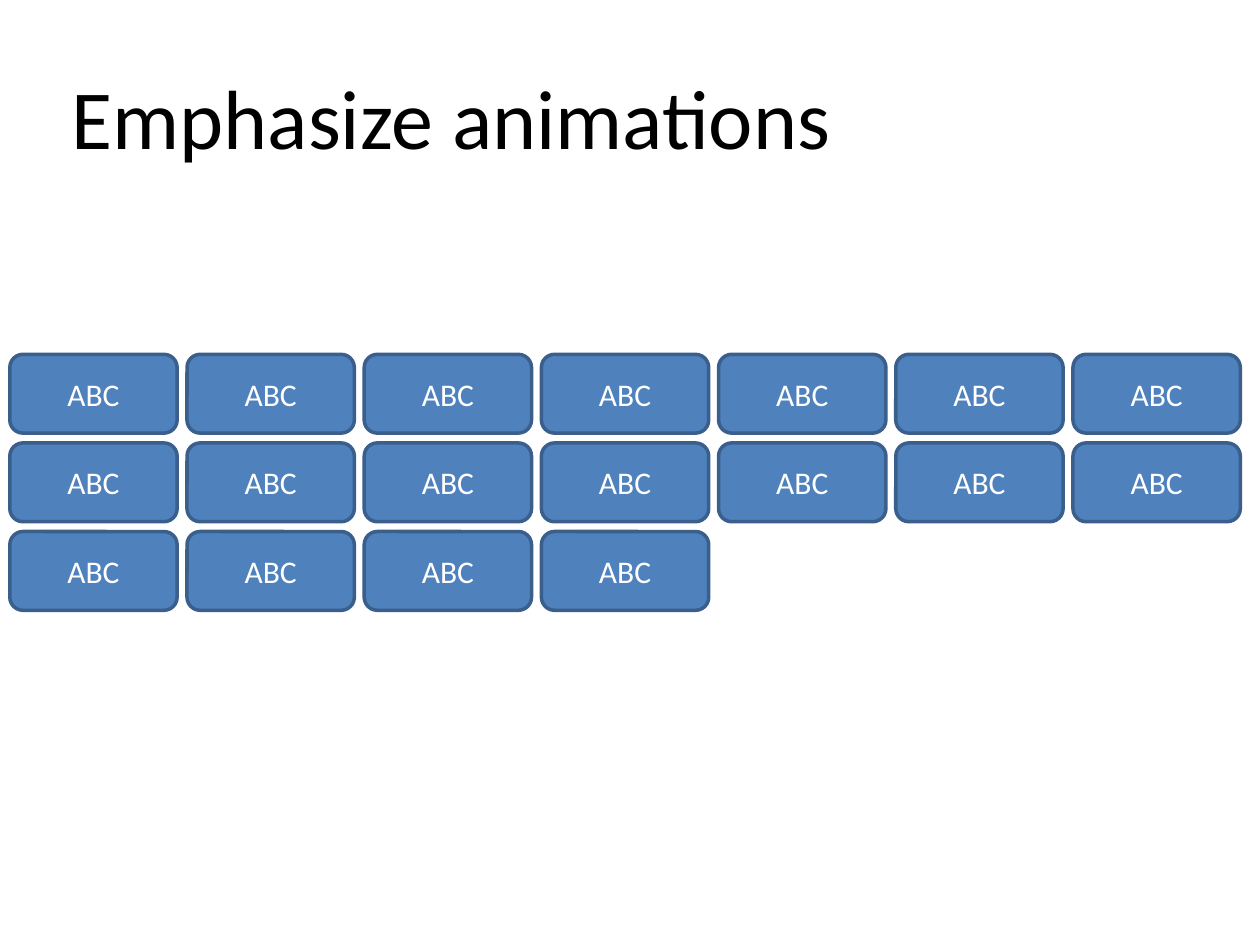
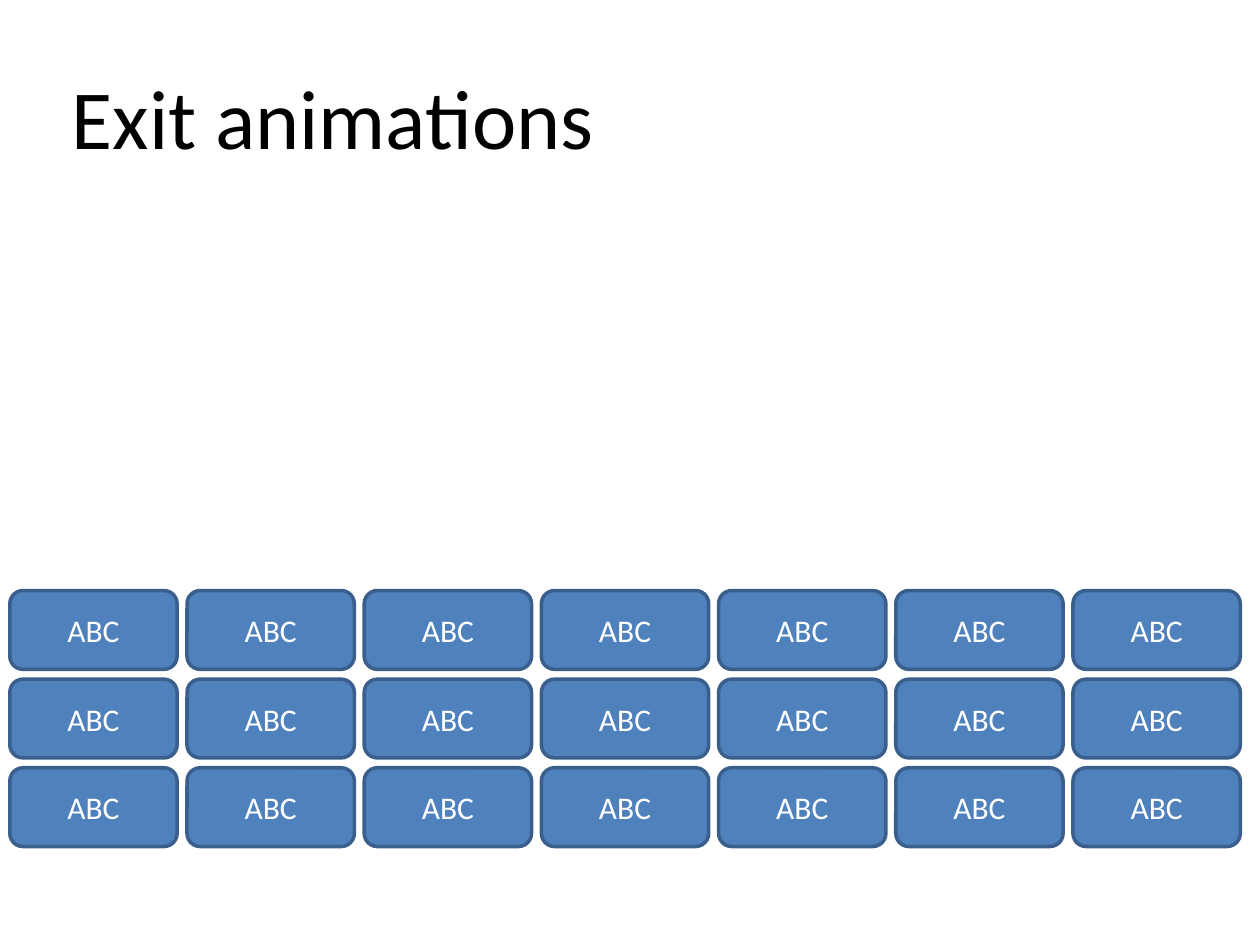
from pptx import Presentation
from pptx import util as u
from pptx.dml.color import RGBColor
from pptx.enum import shapes, text

BLACK = RGBColor(0x00, 0x00, 0x00)
WHITE = RGBColor(0xFF, 0xFF, 0xFF)
BLUE = RGBColor(0x4F, 0x81, 0xBD)
NAVY = RGBColor(0x3A, 0x5F, 0x8C)
FONT = "Calibri"

WIDTH, HEIGHT = u.Inches(10), u.Inches(7.5)
UNIT = WIDTH / 128  # the slide is a grid of 128 columns by 96 rows
TITLE_BOX = (6, 6, 90, 11.63)
TILE_W, TILE_H, GAP = 17, 8, 1
PER_ROW = 7

# title, top row of the tiles, number of tiles
PAGES = [
    ("Emphasize animations", 36, 18),
    ("Exit animations", 60, 21),
]


def grid(*cells):
    return [round(cell * UNIT) for cell in cells]


def add_run(frame, words, size, color, align):
    para = frame.paragraphs[0]
    para.alignment = align
    run = para.add_run()
    run.text = words
    run.font.name = FONT
    run.font.size = u.Pt(size)
    run.font.color.rgb = color


def add_title(slide, words, box):
    title = slide.shapes.title
    title.left, title.top, title.width, title.height = grid(*box)
    frame = title.text_frame
    frame.word_wrap = True
    frame.auto_size = text.MSO_AUTO_SIZE.SHAPE_TO_FIT_TEXT
    frame.vertical_anchor = text.MSO_ANCHOR.TOP
    add_run(frame, words, 48, BLACK, text.PP_ALIGN.LEFT)


def add_tile(slide, left, top):
    tile = slide.shapes.add_shape(
        shapes.MSO_SHAPE.ROUNDED_RECTANGLE, *grid(left, top, TILE_W, TILE_H))
    tile.shadow.inherit = False
    tile.fill.solid()
    tile.fill.fore_color.rgb = BLUE
    tile.line.color.rgb = NAVY
    tile.line.width = u.Pt(2)
    tile.text_frame.vertical_anchor = text.MSO_ANCHOR.MIDDLE
    add_run(tile.text_frame, "ABC", 18, WHITE, text.PP_ALIGN.CENTER)


def add_tiles(slide, left, top, count):
    """Fill rows of PER_ROW tiles from the given corner."""
    for i in range(count):
        row, col = divmod(i, PER_ROW)
        add_tile(slide, left + col * (TILE_W + GAP), top + row * (TILE_H + GAP))


def main():
    deck = Presentation()
    deck.slide_width, deck.slide_height = WIDTH, HEIGHT
    title_only = deck.slide_layouts[5]
    for words, top, count in PAGES:
        slide = deck.slides.add_slide(title_only)
        add_title(slide, words, TITLE_BOX)
        add_tiles(slide, GAP, top, count)
    deck.save("out.pptx")


if __name__ == "__main__":
    main()
